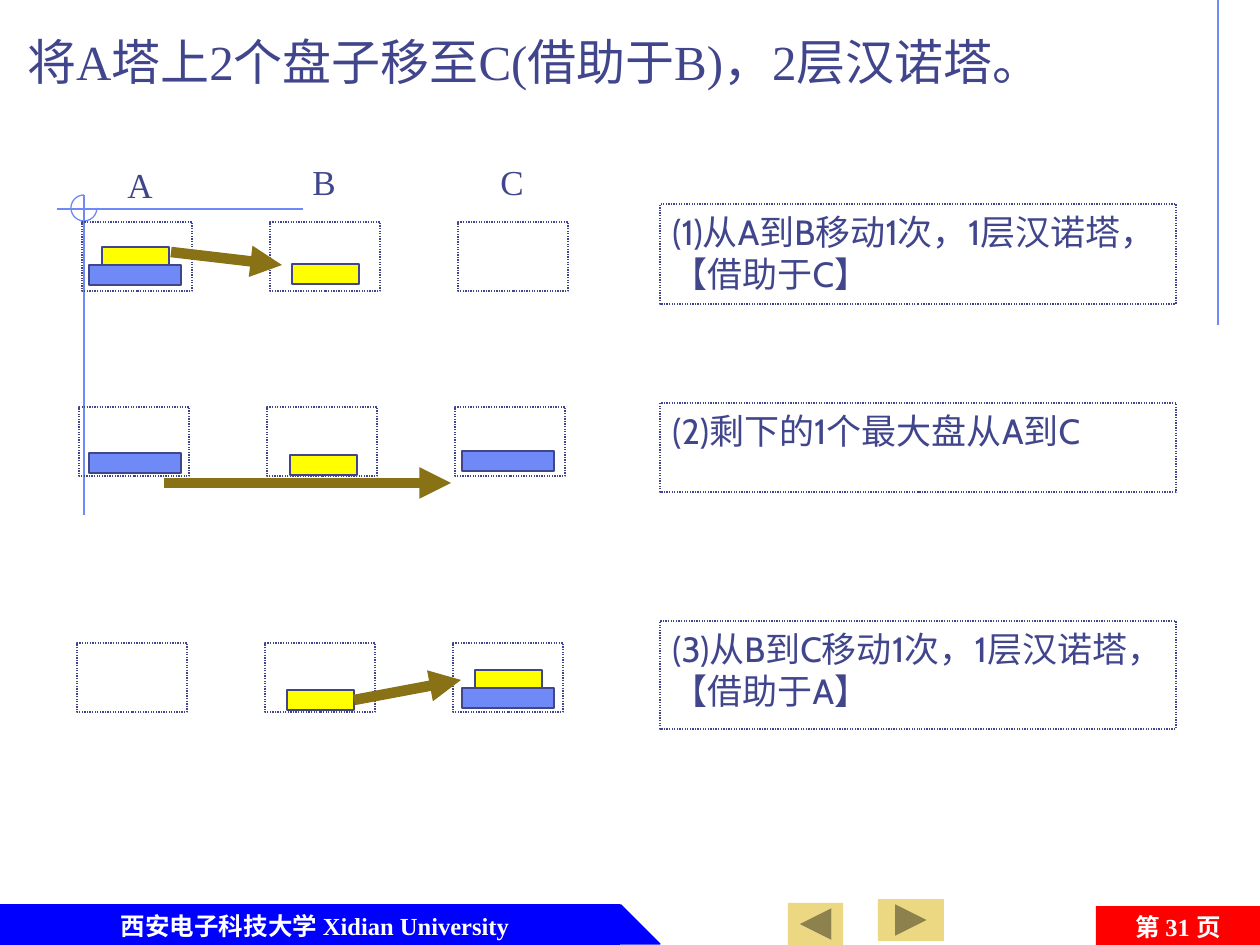
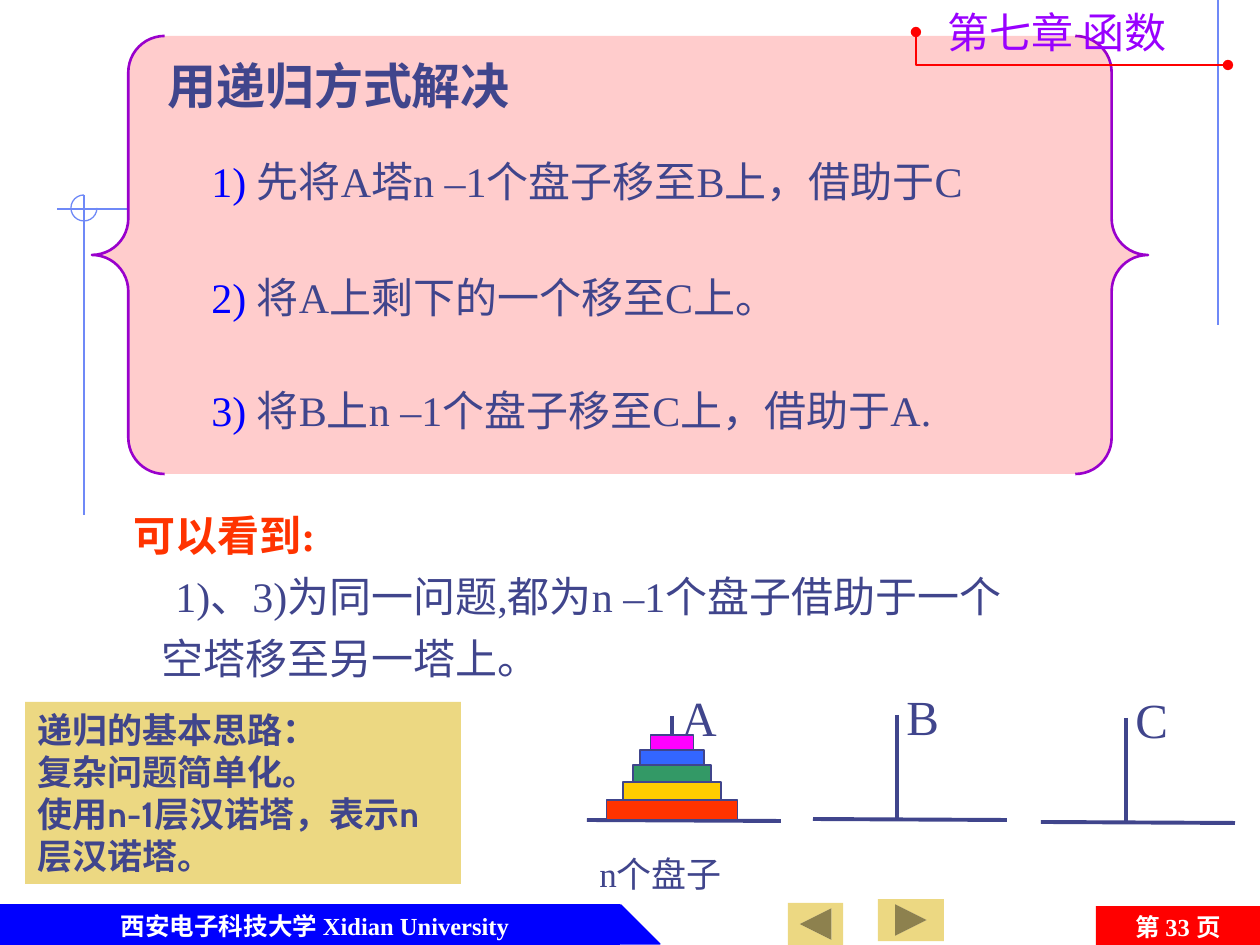
import dataclasses

import lxml.etree
import pptx
import pptx.dml.color
import pptx.enum.dml
import pptx.enum.shapes
import pptx.enum.text
import pptx.oxml.ns
import pptx.util

KIND = pptx.enum.shapes.MSO_SHAPE
ALIGN = pptx.enum.text.PP_ALIGN
SCALE = 914400 / 126  # EMU in one px


@dataclasses.dataclass(frozen=True)
class Theme:
    ink: str = "40458C"
    guide: str = "6F89F7"
    blue: str = "0000FF"
    red: str = "FF0000"
    white: str = "FFFFFF"
    sand: str = "ECD882"
    brown: str = "897215"
    yellow: str = "FFFF00"
    pink: str = "FFCCCC"
    purple: str = "9900CC"
    violet: str = "9900FF"
    orange: str = "FF3300"
    stack: tuple = ("FF3300", "FFCC00", "339966", "3366FF", "FF00FF")
    serif: str = "Times New Roman"
    sans: str = "Cabin"
    han: str = "Noto Sans CJK SC"
    title: int = 28
    body: int = 24
    note: int = 20
    foot: int = 14


T = Theme()


# Helpers
def px(n):
    return pptx.util.Emu(round(n * SCALE))


def rgb(code):
    return pptx.dml.color.RGBColor.from_string(code)


def put(item, values):
    for name, value in values.items():
        setattr(item, name, value)


def end(item, tag, kind):
    line = item._element.spPr.find(pptx.oxml.ns.qn("a:ln"))
    lxml.etree.SubElement(line, pptx.oxml.ns.qn("a:" + tag), type=kind)


def paint(item, fill=None, line=None, width=0.75, dash=False):
    item.shadow.inherit = False
    if fill:
        item.fill.solid()
        item.fill.fore_color.rgb = rgb(fill)
    else:
        item.fill.background()
    if line:
        item.line.color.rgb = rgb(line)
        item.line.width = pptx.util.Pt(width)
        if dash:
            item.line.dash_style = pptx.enum.dml.MSO_LINE.ROUND_DOT
    else:
        item.line.fill.background()


# Text
def run(text, **style):
    return text, style


def write(item, paras, size, color=T.ink, font=T.serif, bold=False,
          wrap=True, **form):
    """Each paragraph is a list of runs; form holds paragraph values."""
    frame = item.text_frame
    put(frame, {"word_wrap": wrap,
                "vertical_anchor": pptx.enum.text.MSO_ANCHOR.TOP})
    gap = form.pop("gap", 0)
    for i, runs in enumerate(paras):
        para = frame.paragraphs[0] if i == 0 else frame.add_paragraph()
        put(para, {"alignment": ALIGN.LEFT, **form})
        if i and gap:
            para.space_before = pptx.util.Pt(gap)
        for text, style in runs:
            part = para.add_run()
            part.text = text
            look = {"color": color, "name": font, "bold": bold, **style}
            part.font.color.rgb = rgb(look.pop("color"))
            put(part.font, {"size": pptx.util.Pt(size), **look})
            if look["name"] == T.han:
                lxml.etree.SubElement(part.font._element,
                                      pptx.oxml.ns.qn("a:ea"), typeface=T.han)
    return item


def indent(para, left, first=0):
    props = para._p.get_or_add_pPr()
    props.set("marL", str(px(left)))
    props.set("indent", str(px(first)))


def label(slide, box, paras, size, **look):
    item = slide.shapes.add_textbox(*map(px, box))
    return write(item, paras, size, **look)


# Shapes and lines
def shape(slide, kind, box, **look):
    item = slide.shapes.add_shape(kind, *map(px, box))
    paint(item, **look)
    return item


def rect(slide, box, **look):
    return shape(slide, KIND.RECTANGLE, box, **look)


def wire(slide, start, stop, color, width=0.75, arrow=False):
    item = slide.shapes.add_connector(
        pptx.enum.shapes.MSO_CONNECTOR.STRAIGHT, *map(px, start + stop))
    item.line.color.rgb = rgb(color)
    item.line.width = pptx.util.Pt(width)
    if arrow:
        end(item, "tailEnd", "triangle")
    lxml.etree.SubElement(item._element.spPr, pptx.oxml.ns.qn("a:effectLst"))
    return item


# Guides, footer and buttons on every slide
def base(deck, page):
    slide = deck.slides.add_slide(deck.slide_layouts[6])
    for start, stop in (((1218, 0), (1218, 325)), ((303, 209), (57, 209)),
                        ((84, 195), (84, 515))):
        wire(slide, start, stop, T.guide)
    arc = shape(slide, KIND.ARC, (71, 195, 26, 26), line=T.guide)
    arc.adjustments[0] = 0
    arc.adjustments[1] = 162  # three quarters of a turn

    rect(slide, (0, 905, 620, 39), fill=T.blue, line=T.blue)
    shape(slide, KIND.RIGHT_TRIANGLE, (621, 905, 39, 39),
          fill=T.blue, line=T.blue)
    label(slide, (36, 905, 558, 39), [[run("西安电子科技大学 Xidian University")]],
          T.foot, color=T.white, bold=True, alignment=ALIGN.CENTER)
    mark = rect(slide, (1096, 906, 164, 42), fill=T.red)
    write(mark, [[run("第 ", name=T.han), run(f"{page} "),
                  run("页", name=T.han)]],
          T.foot, color=T.white, bold=True, alignment=ALIGN.CENTER)
    for box, turn in (((878, 899, 66, 42), 0), ((788, 903, 55, 42), 180)):
        key = shape(slide, KIND.ACTION_BUTTON_FORWARD_OR_NEXT, box,
                    fill=T.sand)
        key.rotation = turn
    return slide


# Two-disk moves
def small(slide, x, y):
    return rect(slide, (x, y, 67, 20), fill=T.yellow, line=T.ink)


def large(slide, x, y):
    return rect(slide, (x, y, 92, 20), fill=T.guide, line=T.ink)


def frames(slide, left, top):
    for col in range(3):
        rect(slide, (left + 188 * col, top, 110, 69), line=T.ink, dash=True)


def moves(deck):
    slide = base(deck, 31)
    head = label(slide, (15, 14, 1084, 83),
                 [[run("将A塔上2个盘子移至C(借助于B)，2层汉诺塔。")]],
                 T.title, line_spacing=1.2)
    indent(head.text_frame.paragraphs[0], 145, -145)
    for name, x, y in (("A", 115, 157), ("B", 300, 154), ("C", 488, 154)):
        label(slide, (x, y, 50, 54), [[run(name)]], T.note, wrap=False)

    # Step 1: small disk from A to B
    small(slide, 292, 264)
    small(slide, 102, 247)
    large(slide, 89, 265)
    frames(slide, 82, 222)
    wire(slide, (171, 252), (282, 265), T.brown, 6, arrow=True)

    # Step 2: large disk from A to C
    large(slide, 89, 453)
    small(slide, 290, 455)
    large(slide, 462, 451)
    frames(slide, 79, 407)
    wire(slide, (164, 483), (451, 483), T.brown, 6, arrow=True)

    # Step 3: small disk from B to C
    disk = small(slide, 287, 690)
    small(slide, 475, 670)
    large(slide, 462, 688)
    frames(slide, 77, 643)
    arrow = wire(slide, (353, 700), (461, 680), T.brown, 6, arrow=True)
    arrow.begin_connect(disk, 3)

    # Notes beside the steps
    for top, high, text in (
            (204, 100, "(1)从A到B移动1次，1层汉诺塔，【借助于C】"),
            (403, 89, "(2)剩下的1个最大盘从A到C"),
            (621, 108, "(3)从B到C移动1次，1层汉诺塔，【借助于A】")):
        note = rect(slide, (660, top, 516, high), line=T.ink, dash=True)
        write(note, [[run(text)]], T.note, font=T.sans)


# Recursive method
def tower(slide, name, left, floor, mid, top):
    wire(slide, (left, floor), (left + 194, floor + 1), T.ink, 2.25)
    mast = wire(slide, (mid, top), (mid, floor), T.ink, 2.25)
    label(slide, (mid - 3, top - 35, 59, 58), [[run(name)]], T.title)
    return mast


def pile(slide, mid, floor):
    disks = []
    sizes = ((131, 20), (98, 18), (78, 17), (64, 15), (43, 15))
    for (wide, high), color in zip(sizes, T.stack):
        floor -= high
        disks.append(rect(slide, (mid - wide / 2, floor, wide, high),
                          fill=color, line=T.ink))
    return disks[0]


def method(deck):
    slide = base(deck, 33)

    # Braced list of steps
    brace = shape(slide, KIND.DOUBLE_BRACE, (92, 36, 1056, 438),
                  fill=T.pink, line=T.purple, width=1.5)
    brace.adjustments[0] = 0.083
    label(slide, (155, 49, 514, 72), [[run("用递归方式解决")]],
          T.title, bold=True)
    for top, num, text in ((149, "1) ", "先将A塔n –1个盘子移至B上，借助于C"),
                           (265, "2)", " 将A上剩下的一个移至C上。"),
                           (378, "3)", " 将B上n –1个盘子移至C上，借助于A.")):
        label(slide, (199, top, 881, 63),
              [[run(num, color=T.blue), run(text)]], T.body)

    # What follows from it
    seen = label(slide, (121, 513, 1040, 184),
                 [[run("可以看到:", color=T.orange, bold=True)],
                  [run("1)、3)为同一问题,都为n –1个盘子借助于一个")],
                  [run("空塔移至另一塔上。")]],
                 T.body, line_spacing=0.8, gap=12)
    for para, left in zip(seen.text_frame.paragraphs[1:], (42, 28)):
        indent(para, left)

    # Chapter mark
    label(slide, (935, 0, 277, 63), [[run("第七章 函数")]], T.body,
          color=T.violet, font=T.han, wrap=False)
    pen = slide.shapes.build_freeform(916, 32, scale=SCALE)
    pen.add_line_segments([(916, 65), (1228, 65)], close=False)
    hook = pen.convert_to_shape()
    paint(hook, line=T.red, width=1.5)
    for tag in ("headEnd", "tailEnd"):
        end(hook, tag, "oval")

    # Towers
    mast = tower(slide, "A", 587, 820, 672, 716)
    mast.end_connect(pile(slide, 672, 820), 2)
    tower(slide, "B", 813, 819, 897, 715)
    tower(slide, "C", 1041, 822, 1126, 718)
    label(slide, (587, 846, 175, 54), [[run("n个盘子")]], T.note)

    # Main idea
    idea = rect(slide, (25, 702, 436, 182), fill=T.sand)
    write(idea, [[run(text)] for text in (
        "递归的基本思路：", "复杂问题简单化。", "使用n-1层汉诺塔，表示n层汉诺塔。")],
        T.note, font=T.sans, bold=True)


def main():
    deck = pptx.Presentation()
    put(deck, {"slide_width": px(1260), "slide_height": px(945)})
    moves(deck)
    method(deck)
    deck.save("out.pptx")


if __name__ == "__main__":
    main()
